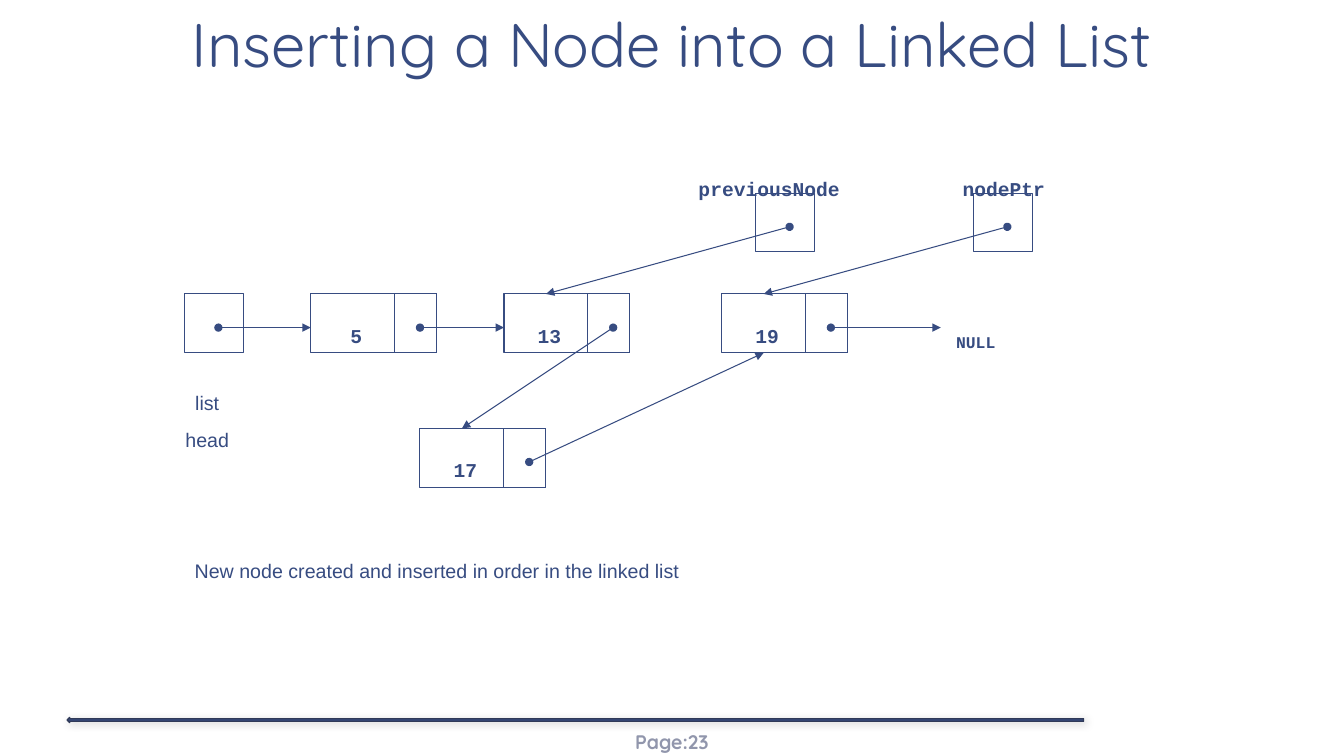
from lxml import etree
from pptx import Presentation
from pptx import util as u
from pptx.dml.color import RGBColor
from pptx.enum import shapes, text
from pptx.oxml import ns

NODE_WIDTH, BOX_SIZE, LINK_WIDTH = 90, 42, 30
LIST_TOP, NEW_TOP, POINTER_TOP = 210, 306, 138


def color(value):
    return RGBColor.from_string(value)


class Diagram:
    ink = "374C81"
    title_font, body_font, code_font = "Quicksand", "Arial", "Courier New"

    def __init__(self, presentation):
        self.slide = presentation.slides.add_slide(presentation.slide_layouts[5])

    def child(self, parent, tag, **attributes):
        return etree.SubElement(parent, ns.qn(tag), attributes)

    def set_words(self, shape, words, size, font, bold=False, ink=ink,
                  align=text.PP_ALIGN.CENTER, anchor=text.MSO_ANCHOR.MIDDLE):
        frame = shape.text_frame
        frame.text = words
        frame.word_wrap = True
        frame.auto_size = text.MSO_AUTO_SIZE.NONE
        frame.vertical_anchor = anchor
        frame.margin_left = frame.margin_right = u.Pt(0)
        frame.margin_top = frame.margin_bottom = u.Pt(0)
        for paragraph in frame.paragraphs:
            paragraph.alignment = align
            for run in paragraph.runs:
                run.font.name, run.font.size = font, u.Pt(size)
                run.font.bold = bold
                run.font.color.rgb = color(ink)
        return frame

    def title(self, words):
        title = self.slide.shapes.title
        title.left, title.top = u.Pt(0), u.Pt(0)
        title.width, title.height = u.Pt(960), u.Pt(62)
        frame = self.set_words(title, words, 44, self.title_font,
                               anchor=text.MSO_ANCHOR.BOTTOM)
        frame.margin_bottom = u.Pt(5)
        frame.paragraphs[0].line_spacing = 0.85

    def label(self, words, center, middle, width, height=20, size=14,
              font=code_font, bold=True, **style):
        box = self.slide.shapes.add_textbox(
            u.Pt(center - width / 2), u.Pt(middle - height / 2),
            u.Pt(width), u.Pt(height))
        return self.set_words(box, words, size, font, bold, **style)

    def box(self, left, top, width=BOX_SIZE):
        box = self.slide.shapes.add_shape(
            shapes.MSO_SHAPE.RECTANGLE, u.Pt(left), u.Pt(top),
            u.Pt(width), u.Pt(BOX_SIZE))
        box.shadow.inherit = False
        box.fill.background()
        box.line.color.rgb = color(self.ink)
        box.line.width = u.Pt(0.75)

    def node(self, value, left, top):
        self.box(left, top, NODE_WIDTH)
        self.box(left + NODE_WIDTH - LINK_WIDTH, top, LINK_WIDTH)
        self.label(value, left + 32.5, top + 29.5, 44)

    def arrow(self, start, end):
        arrow = self.slide.shapes.add_connector(
            shapes.MSO_CONNECTOR.STRAIGHT, *map(u.Pt, start + end))
        arrow.line.color.rgb = color(self.ink)
        arrow.line.width = u.Pt(0.75)
        properties = arrow.element.spPr
        line = properties.find(ns.qn("a:ln"))
        self.child(line, "a:headEnd", type="oval")
        self.child(line, "a:tailEnd", type="triangle")
        self.child(properties, "a:effectLst")

    def footer(self, words):
        rule = self.slide.shapes.add_shape(
            shapes.MSO_SHAPE.LEFT_ARROW, u.Pt(48), u.Pt(512.5),
            u.Pt(726), u.Pt(3.6))
        rule.fill.solid()
        rule.fill.fore_color.rgb = color(self.ink)
        rule.line.color.rgb = color("303A58")
        rule.line.width = u.Pt(1)
        rule.shadow.inherit = False
        effects = rule.element.spPr.find(ns.qn("a:effectLst"))
        shadow = self.child(effects, "a:outerShdw", blurRad=str(u.Pt(6)),
                            dist=str(u.Pt(1)), dir="2700000")
        black = self.child(shadow, "a:srgbClr", val="000000")
        self.child(black, "a:alpha", val="20000")
        self.label(words, 480, 530, 128, 28, font=self.title_font, ink="9196AC")


def main():
    presentation = Presentation()
    presentation.slide_width, presentation.slide_height = u.Pt(960), u.Pt(540)
    diagram = Diagram(presentation)
    diagram.title("Inserting a Node into a Linked List")
    diagram.footer("Page:23")

    # List head
    head_left = 132
    diagram.box(head_left, LIST_TOP)
    frame = diagram.label("list\nhead", 148, 302.5, 68, 46,
                          font=diagram.body_font, bold=False)
    for paragraph in frame.paragraphs:
        paragraph.line_spacing = 0.8
    frame.paragraphs[1].space_before = u.Pt(12.8)

    # Nodes
    nodes = {"5": (222, LIST_TOP), "13": (360, LIST_TOP),
             "19": (515.5, LIST_TOP), "17": (300, NEW_TOP)}
    for value, (left, top) in nodes.items():
        diagram.node(value, left, top)
    diagram.label("NULL", 697, 244, 60, size=11.7)

    # Links between nodes
    def link(value):
        left, top = nodes[value]
        return left + 78, top + 24

    def entry(value, drop=0):
        left, top = nodes[value]
        return left + 30, top + drop

    row = LIST_TOP + 24
    diagram.arrow((head_left + 24, row), (nodes["5"][0], row))
    diagram.arrow(link("5"), (nodes["13"][0], row))
    diagram.arrow(link("13"), entry("17"))
    diagram.arrow(link("17"), entry("19", BOX_SIZE))
    diagram.arrow(link("19"), (672, row))

    # Pointer variables
    for name, left, center, target in (("previousNode", 540, 549.5, "13"),
                                       ("nodePtr", 695.5, 717, "19")):
        diagram.label(name, center, 134.5, 120)
        diagram.box(left, POINTER_TOP)
        diagram.arrow((left + 24, POINTER_TOP + 24), entry(target))

    # Caption
    diagram.label("New node created and inserted in order in the linked list",
                  439, 407.5, 600, font=diagram.body_font, bold=False,
                  align=text.PP_ALIGN.LEFT)
    presentation.save("out.pptx")


if __name__ == "__main__":
    main()
